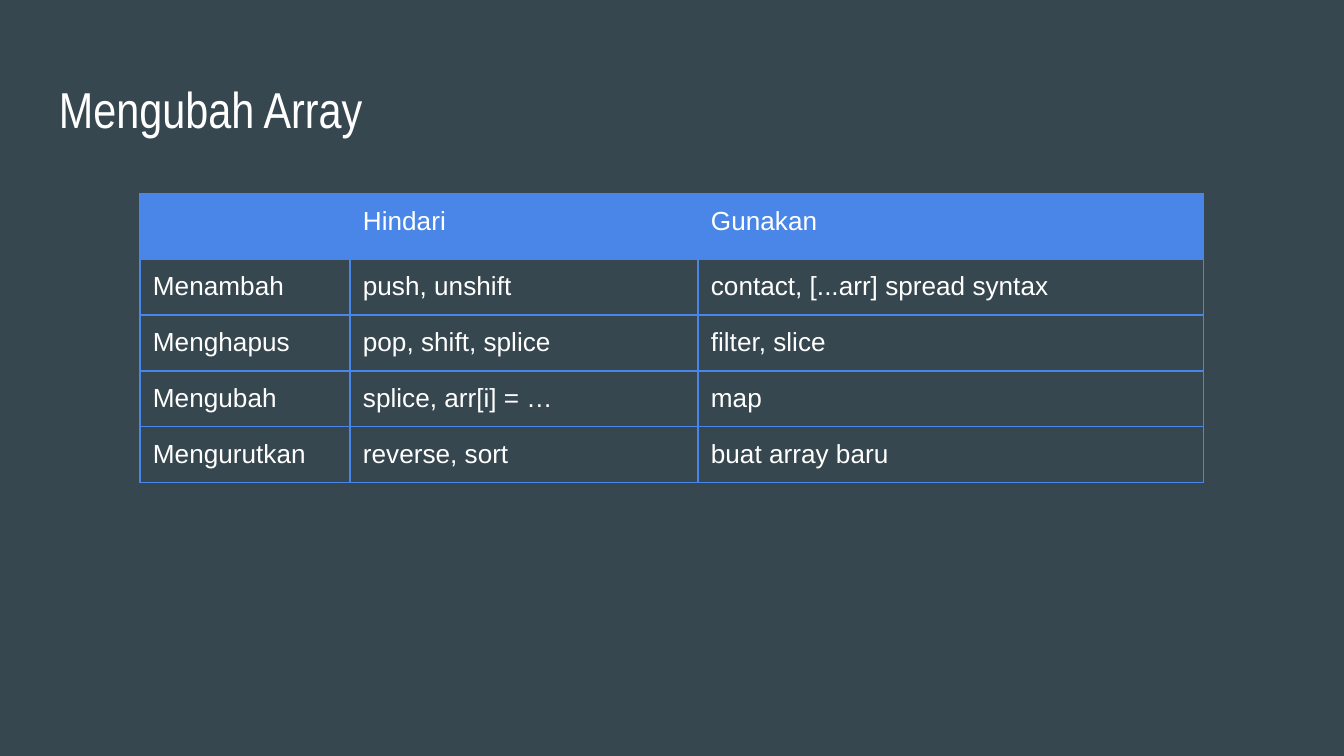
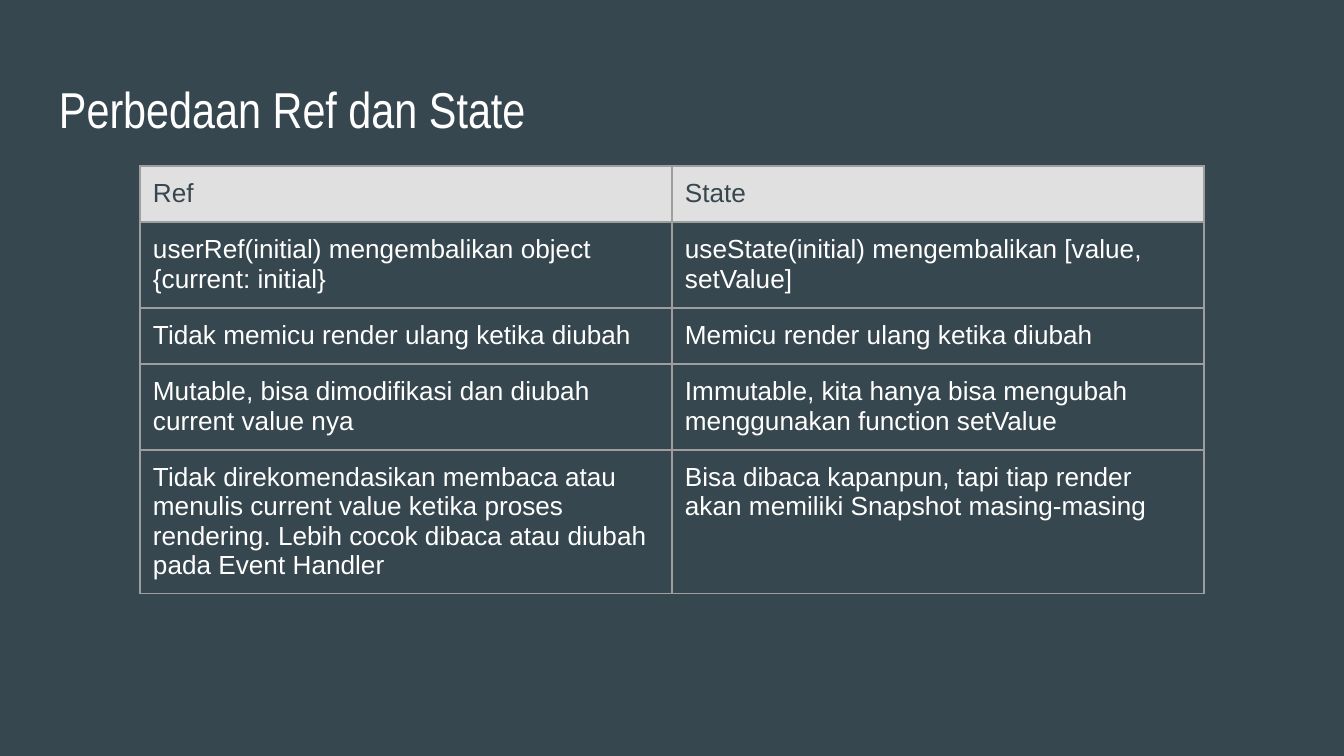
from dataclasses import dataclass

from lxml.etree import SubElement
from pptx import Presentation
from pptx.dml.color import RGBColor as Color
from pptx.enum.text import MSO_ANCHOR as Anchor, PP_ALIGN as Align
from pptx.oxml.ns import qn
from pptx.util import Pt

EMU_PER_PX = 914400 / 134.4
TITLE_ONLY = 5


def px(length):
    return round(length * EMU_PER_PX)


@dataclass(frozen=True)
class Theme:
    background: str = "37474F"
    text: str = "FFFFFF"
    blue: str = "4A86E8"
    light_grey: str = "E0E0E0"
    grey: str = "9E9E9E"
    title_font: str = "Arial Narrow"
    body_font: str = "Arial"
    title_size: int = 27
    body_size: int = 14
    border_width: float = 0.75
    inset: int = 13


class Deck:
    """Holds the theme, the presentation and the slide being filled."""

    def __init__(self, theme):
        self.theme = theme
        self.presentation = Presentation()
        self.presentation.slide_width = px(1344)
        self.presentation.slide_height = px(756)
        fill = self.presentation.slide_master.background.fill
        fill.solid()
        fill.fore_color.rgb = Color.from_string(theme.background)
        self.slide = None

    def add_slide(self, title):
        layout = self.presentation.slide_layouts[TITLE_ONLY]
        self.slide = self.presentation.slides.add_slide(layout)
        self.add_title(title)

    def add_title(self, text):
        shape = self.slide.shapes.title
        shape.left, shape.top, shape.width, shape.height = map(px, (46, 66, 1252, 85))
        frame = shape.text_frame
        frame.text = text
        frame.word_wrap = True
        frame.vertical_anchor = Anchor.MIDDLE
        frame.margin_left = frame.margin_right = px(self.theme.inset)
        frame.margin_top = frame.margin_bottom = px(self.theme.inset)
        frame.paragraphs[0].alignment = Align.LEFT
        self.format_runs(frame, self.theme.title_font, self.theme.title_size, self.theme.text)

    def format_runs(self, frame, font_name, size, color):
        for paragraph in frame.paragraphs:
            for run in paragraph.runs:
                run.font.name = font_name
                run.font.size = Pt(size)
                run.font.color.rgb = Color.from_string(color)

    def add_table(self, top, widths, heights, rows, border, header_fill, header_text):
        """Draw a bordered table whose first row is a filled header."""
        frame = self.slide.shapes.add_table(
            len(rows), len(widths), px(140), px(top), px(sum(widths)), px(sum(heights)))
        table = frame.table
        table.first_row = table.horz_banding = False
        for column, width in zip(table.columns, widths):
            column.width = px(width)
        for index, (height, texts) in enumerate(zip(heights, rows)):
            table.rows[index].height = px(height)
            fill, color = (None, self.theme.text) if index else (header_fill, header_text)
            for cell, text in zip(table.rows[index].cells, texts):
                self.fill_cell(cell, text, border, fill, color)

    def fill_cell(self, cell, text, border, fill, color):
        cell.margin_left = cell.margin_right = px(self.theme.inset)
        cell.margin_top = cell.margin_bottom = px(self.theme.inset)
        cell.vertical_anchor = Anchor.TOP
        self.add_borders(cell, border)
        if fill:
            cell.fill.solid()
            cell.fill.fore_color.rgb = Color.from_string(fill)
        else:
            cell.fill.background()
        if text:
            cell.text_frame.text = text
            self.format_runs(cell.text_frame, self.theme.body_font, self.theme.body_size, color)
        else:
            # An empty cell keeps the body size, so it does not stretch its row
            paragraph = cell.text_frame.paragraphs[0]
            SubElement(paragraph._p, qn("a:endParaRPr"), sz=str(self.theme.body_size * 100))

    def add_borders(self, cell, color):
        properties = cell._tc.get_or_add_tcPr()
        for side in ("L", "R", "T", "B"):
            line = SubElement(properties, qn(f"a:ln{side}"), w=str(Pt(self.theme.border_width)))
            SubElement(SubElement(line, qn("a:solidFill")), qn("a:srgbClr"), val=color)


ARRAY_ROWS = [
    ("", "Hindari", "Gunakan"),
    ("Menambah", "push, unshift", "contact, [...arr] spread syntax"),
    ("Menghapus", "pop, shift, splice", "filter, slice"),
    ("Mengubah", "splice, arr[i] = …", "map"),
    ("Mengurutkan", "reverse, sort", "buat array baru"),
]

REF_STATE_ROWS = [
    ("Ref", "State"),
    ("userRef(initial) mengembalikan object {current: initial}",
     "useState(initial) mengembalikan [value, setValue]"),
    ("Tidak memicu render ulang ketika diubah", "Memicu render ulang ketika diubah"),
    ("Mutable, bisa dimodifikasi dan diubah current value nya",
     "Immutable, kita hanya bisa mengubah menggunakan function setValue"),
    ("Tidak direkomendasikan membaca atau menulis current value ketika proses rendering. "
     "Lebih cocok dibaca atau diubah pada Event Handler",
     "Bisa dibaca kapanpun, tapi tiap render akan memiliki Snapshot masing-masing"),
]


def main():
    theme = Theme()
    deck = Deck(theme)

    deck.add_slide("Mengubah Array")
    deck.add_table(194, (210, 348, 506), (65, 56, 56, 56, 56), ARRAY_ROWS,
                   border=theme.blue, header_fill=theme.blue, header_text=theme.text)

    deck.add_slide("Perbedaan Ref dan State")
    deck.add_table(166, (532, 532), (56, 86, 56, 86, 144), REF_STATE_ROWS,
                   border=theme.grey, header_fill=theme.light_grey,
                   header_text=theme.background)

    deck.presentation.save("out.pptx")


if __name__ == "__main__":
    main()
